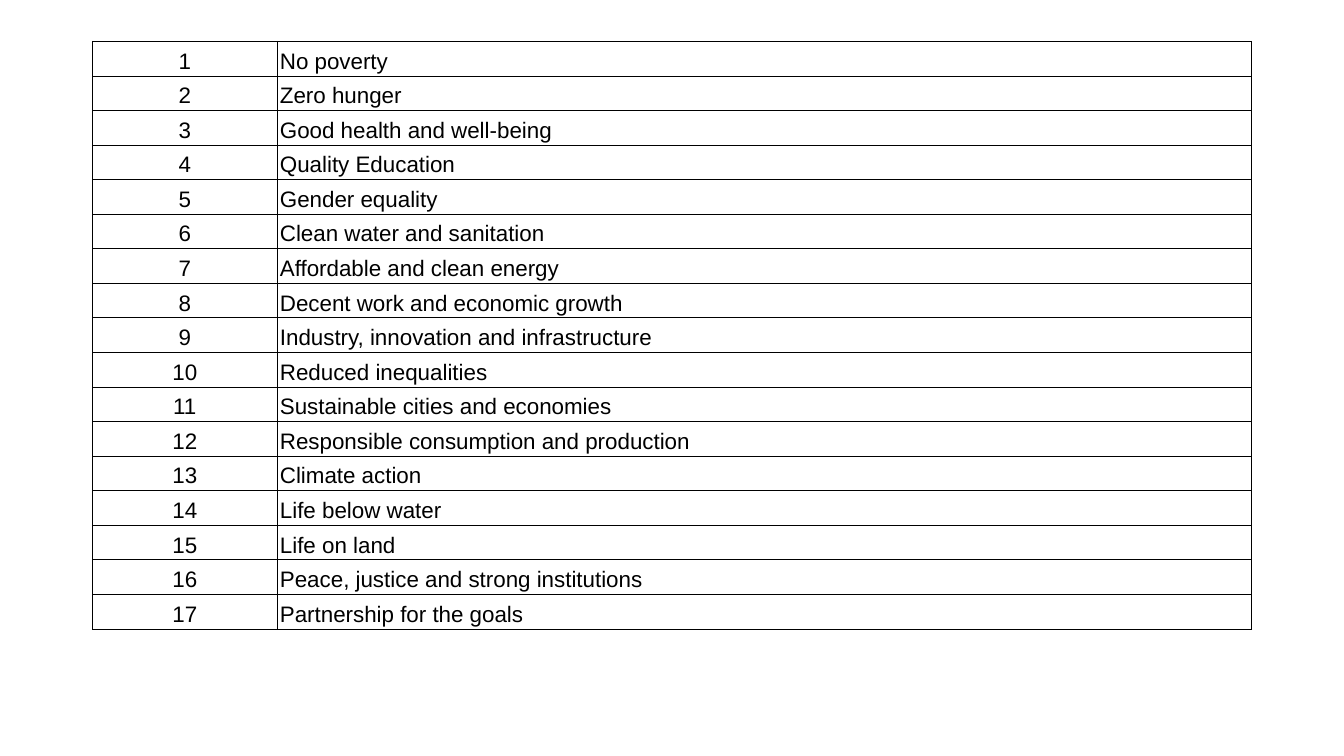
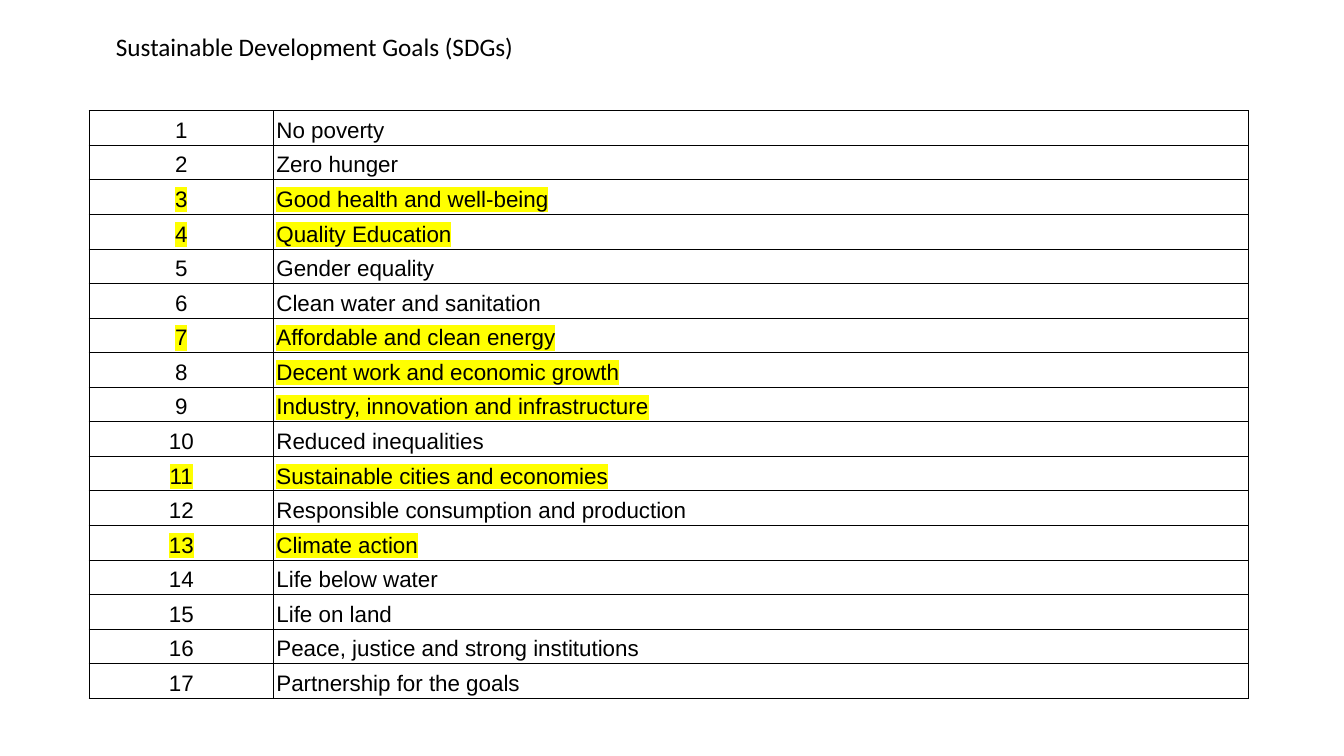
from dataclasses import dataclass

import pptx
import pptx.dml.color
import pptx.enum.text
import pptx.oxml
import pptx.oxml.ns
import pptx.slide
import pptx.text.text
import pptx.util

Pt = pptx.util.Pt
RGB = pptx.dml.color.RGBColor
ALIGN = pptx.enum.text.PP_ALIGN
ANCHOR = pptx.enum.text.MSO_ANCHOR
qn = pptx.oxml.ns.qn
NS = pptx.oxml.ns.nsdecls("a")


@dataclass(frozen=True)
class Theme:
    ink: str = "000000"
    marker: str = "FFFF00"
    title_font: str = "Calibri"
    title_size: float = 18
    cell_font: str = "Arial"
    cell_size: float = 16
    border: float = 0.6


@dataclass(frozen=True)
class Goal:
    name: str
    mark_number: bool = False
    mark_name: bool = False


@dataclass(frozen=True)
class GoalSlide:
    left: float
    top: float
    title: str = ""
    highlight: bool = False


THEME = Theme()
SLIDE_SIZE = (960, 540)
COLUMNS = (132, 696)
ROW_HEIGHT = 24.7
TITLE_BOX = {"left": 75.6, "top": 18.7, "width": 593.3, "height": 29}
CELL_FORMAT = {
    "margin_left": Pt(2), "margin_right": Pt(2),
    "margin_top": Pt(1.5), "margin_bottom": Pt(1.5),
    "vertical_anchor": ANCHOR.BOTTOM,
}

GOALS = (
    Goal("No poverty"),
    Goal("Zero hunger"),
    Goal("Good health and well-being", True, True),
    Goal("Quality Education", True, True),
    Goal("Gender equality"),
    Goal("Clean water and sanitation"),
    Goal("Affordable and clean energy", True, True),
    Goal("Decent work and economic growth", mark_name=True),
    Goal("Industry, innovation and infrastructure", mark_name=True),
    Goal("Reduced inequalities"),
    Goal("Sustainable cities and economies", True, True),
    Goal("Responsible consumption and production"),
    Goal("Climate action", True, True),
    Goal("Life below water"),
    Goal("Life on land"),
    Goal("Peace, justice and strong institutions"),
    Goal("Partnership for the goals"),
)

SLIDES = (
    GoalSlide(66, 29.5),
    GoalSlide(63.5, 79, "Sustainable Development Goals (SDGs)", True),
)


def apply(target: object, values: dict) -> None:
    for name, value in values.items():
        setattr(target, name, value)


def write(p: pptx.text.text._Paragraph, text: str, font: str, size: float,
          align: ALIGN, marked: bool = False) -> None:
    p.alignment = align
    r = p.add_run()
    r.text = text
    apply(r.font, {"name": font, "size": Pt(size)})
    r.font.color.rgb = RGB.from_string(THEME.ink)
    if marked:
        # The highlight element must stand before the typeface
        r.font._element.find(qn("a:latin")).addprevious(pptx.oxml.parse_xml(
            f'<a:highlight {NS}><a:srgbClr val="{THEME.marker}"/></a:highlight>'))


def add_borders(cell: pptx.table._Cell) -> None:
    tcPr = cell._tc.get_or_add_tcPr()
    for side in "LRTB":
        tcPr.append(pptx.oxml.parse_xml(
            f'<a:ln{side} {NS} w="{int(Pt(THEME.border))}"><a:solidFill>'
            f'<a:srgbClr val="{THEME.ink}"/></a:solidFill></a:ln{side}>'))


def add_goal_table(s: pptx.slide.Slide, page: GoalSlide) -> None:
    frame = s.shapes.add_table(
        len(GOALS), len(COLUMNS), Pt(page.left), Pt(page.top),
        Pt(sum(COLUMNS)), Pt(ROW_HEIGHT * len(GOALS)))
    table = frame.table
    apply(table, {"first_row": False, "horz_banding": False})
    for column, width in zip(table.columns, COLUMNS):
        column.width = Pt(width)
    for number, (row, goal) in enumerate(zip(table.rows, GOALS), start=1):
        row.height = Pt(ROW_HEIGHT)
        contents = ((str(number), ALIGN.CENTER, goal.mark_number),
                    (goal.name, ALIGN.LEFT, goal.mark_name))
        for cell, (text, align, marked) in zip(row.cells, contents):
            apply(cell, CELL_FORMAT)
            add_borders(cell)
            cell.fill.background()
            write(cell.text_frame.paragraphs[0], text, THEME.cell_font,
                  THEME.cell_size, align, marked and page.highlight)


def add_title(s: pptx.slide.Slide, text: str) -> None:
    sp = s.shapes.title
    apply(sp, {name: Pt(value) for name, value in TITLE_BOX.items()})
    tf = sp.text_frame
    apply(tf, {"word_wrap": True, "vertical_anchor": ANCHOR.TOP,
               "auto_size": pptx.enum.text.MSO_AUTO_SIZE.NONE})
    write(tf.paragraphs[0], text, THEME.title_font, THEME.title_size, ALIGN.LEFT)


def main() -> None:
    prs = pptx.Presentation()
    prs.slide_width, prs.slide_height = map(Pt, SLIDE_SIZE)
    for page in SLIDES:
        layout = "Title Only" if page.title else "Blank"
        s = prs.slides.add_slide(prs.slide_layouts.get_by_name(layout))
        # Goal list
        add_goal_table(s, page)
        # Heading
        if page.title:
            add_title(s, page.title)
    prs.save("out.pptx")


if __name__ == "__main__":
    main()
